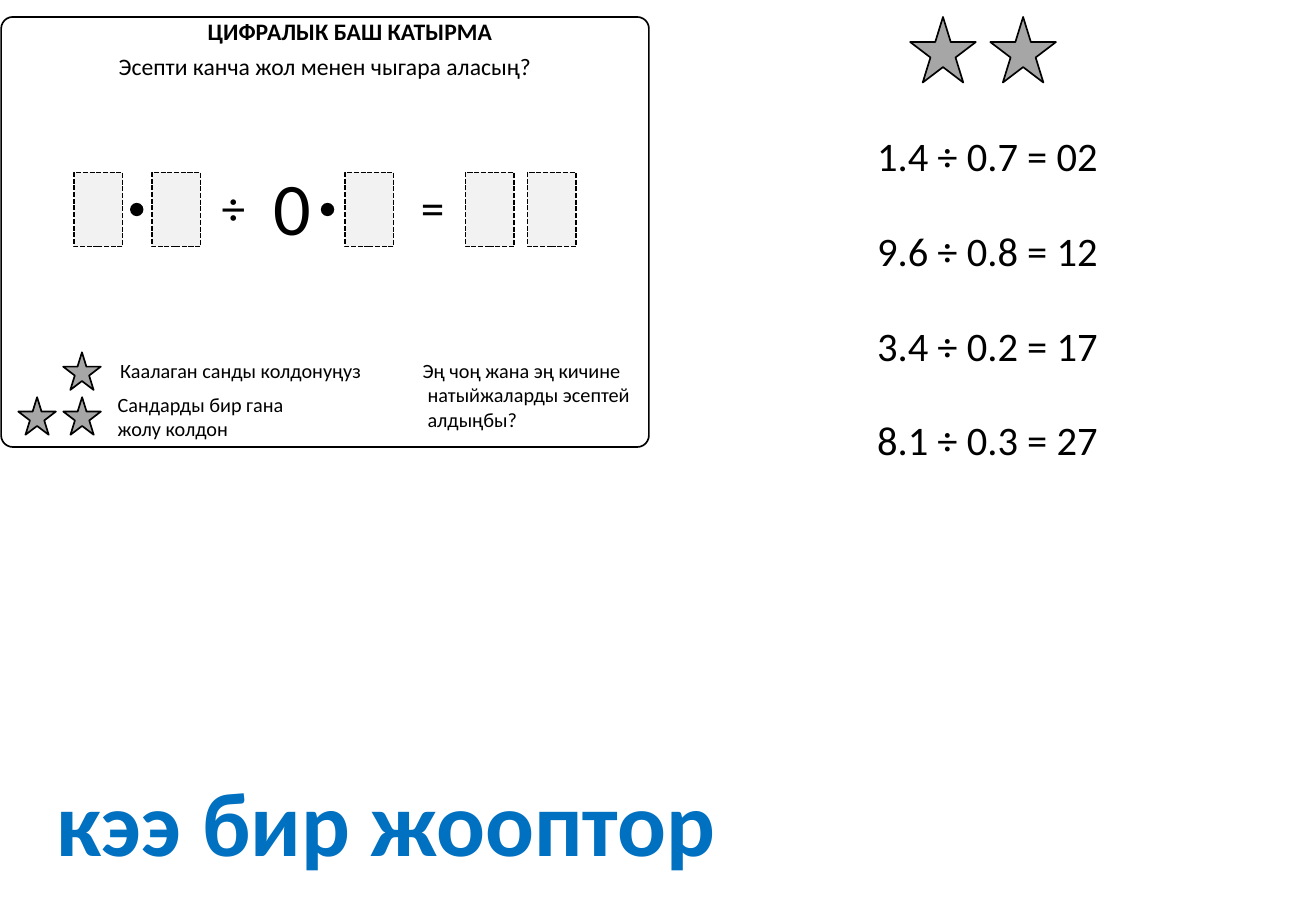
from pptx import Presentation
from pptx.dml.color import RGBColor
from pptx.enum.dml import MSO_LINE
from pptx.enum.shapes import MSO_SHAPE as Shape
from pptx.enum.text import MSO_AUTO_SIZE as AutoSize, PP_ALIGN as Align
from pptx.util import Inches, Pt

# Content; every position and size is a percentage of the slide
BLACK, GREY, PALE, BLUE = "000000", "A6A6A6", "F2F2F2", "0070C0"

CARD = (0.09, 1.87, 49.22, 47.2)
TITLE = ("ЦИФРАЛЫК БАШ КАТЫРМА", (14.87, 1.87, 23.64, 3.2))
QUESTION = ("Эсепти канча жол менен чыгара аласың?", (7.94, 5.07, 33.52, 4.53))
RULES = [
    ("Каалаган санды колдонуңуз", (8.22, 38.67, 20.41, 4)),
    ("Сандарды бир гана\nжолу колдон", (8.03, 42.4, 14.96, 6.67)),
]
CHALLENGE = ("Эң чоң жана эң кичине\nнатыйжаларды эсептей\nалдыңбы?",
             (31.21, 38.67, 17.82, 14.8))
CAPTION = ("кээ бир жооптор", (3.42, 83.33, 52.45, 13.47))

DIGIT_BOXES = [5.63, 11.54, 26.22, 35.36, 40.07]
DECIMAL_POINTS = [9.88, 24.38]
OPERATORS = [("÷", 15.88), ("=", 31.02)]
ZERO = ("0", (19.85, 17.07, 4.71, 11.2))
PUZZLE_TOP, POINT_TOP = 18.93, 22.27

# Star rows: left, top, count, step, width, height
STAR_ROWS = [
    (4.8, 38.67, 1, 3.42, 2.86, 4.13),
    (1.39, 43.6, 2, 3.42, 2.86, 4.13),
    (69.16, 1.87, 2, 6.09, 4.99, 7.2),
]
ANSWERS = ["1.4 ÷ 0.7 = 02", "9.6 ÷ 0.8 = 12", "3.4 ÷ 0.2 = 17", "8.1 ÷ 0.3 = 27"]
ANSWER_LEFT, ANSWER_TOP, ANSWER_STEP = 65.74, 13.73, 10.4

deck = Presentation()
deck.slide_width, deck.slide_height = Inches(10.83), Inches(7.5)
slide = deck.slides.add_slide(deck.slide_layouts[6])


def color(code):
    return RGBColor.from_string(code)


def place(area):
    left, top, width, height = area
    return (int(deck.slide_width * left / 100), int(deck.slide_height * top / 100),
            int(deck.slide_width * width / 100), int(deck.slide_height * height / 100))


def draw(kind, area, fill=None, outlined=True, dashed=False):
    shape = slide.shapes.add_shape(kind, *place(area))
    shape.shadow.inherit = False
    if fill:
        shape.fill.solid()
        shape.fill.fore_color.rgb = color(fill)
    else:
        shape.fill.background()
    if outlined:
        shape.line.color.rgb = color(BLACK)
        shape.line.width = Pt(1)
        if dashed:
            shape.line.dash_style = MSO_LINE.SQUARE_DOT
    else:
        shape.line.fill.background()
    return shape


def write(text, area, size, ink=BLACK, bold=False, align=Align.LEFT):
    frame = slide.shapes.add_textbox(*place(area)).text_frame
    frame.word_wrap = False
    frame.auto_size = AutoSize.SHAPE_TO_FIT_TEXT
    frame.text = text
    for paragraph in frame.paragraphs:
        paragraph.alignment = align
        for run in paragraph.runs:
            run.font.name, run.font.size, run.font.bold = "Calibri", Pt(size), bold
            run.font.color.rgb = color(ink)
    return frame


# Card with its heading and rules
draw(Shape.ROUNDED_RECTANGLE, CARD).adjustments[0] = 0.027
heading = write(*TITLE, 14, bold=True)
heading.margin_top = heading.margin_bottom = 0
write(*QUESTION, 14, align=Align.CENTER)
for rule, area in RULES:
    write(rule, area, 12)
challenge = write(*CHALLENGE, 12)
for paragraph in challenge.paragraphs[1:]:
    paragraph._p.get_or_add_pPr().set("marL", str(Inches(0.04)))

# Puzzle row
for left in DIGIT_BOXES:
    draw(Shape.RECTANGLE, (left, PUZZLE_TOP, 3.69, 8.13), PALE, dashed=True)
for left in DECIMAL_POINTS:
    draw(Shape.OVAL, (left, POINT_TOP, 1.02, 1.47), BLACK, outlined=False)
for sign, left in OPERATORS:
    write(sign, (left, PUZZLE_TOP, 3.69, 7.6), 28, align=Align.CENTER)
write(*ZERO, 44)

# Stars
for left, top, count, step, width, height in STAR_ROWS:
    for i in range(count):
        draw(Shape.STAR_5_POINT, (left + i * step, top, width, height), GREY)

# Answers and caption
for row, answer in enumerate(ANSWERS):
    write(answer, (ANSWER_LEFT, ANSWER_TOP + row * ANSWER_STEP, 18.74, 6.67), 24)
write(*CAPTION, 54, BLUE, bold=True)

deck.save("out.pptx")
